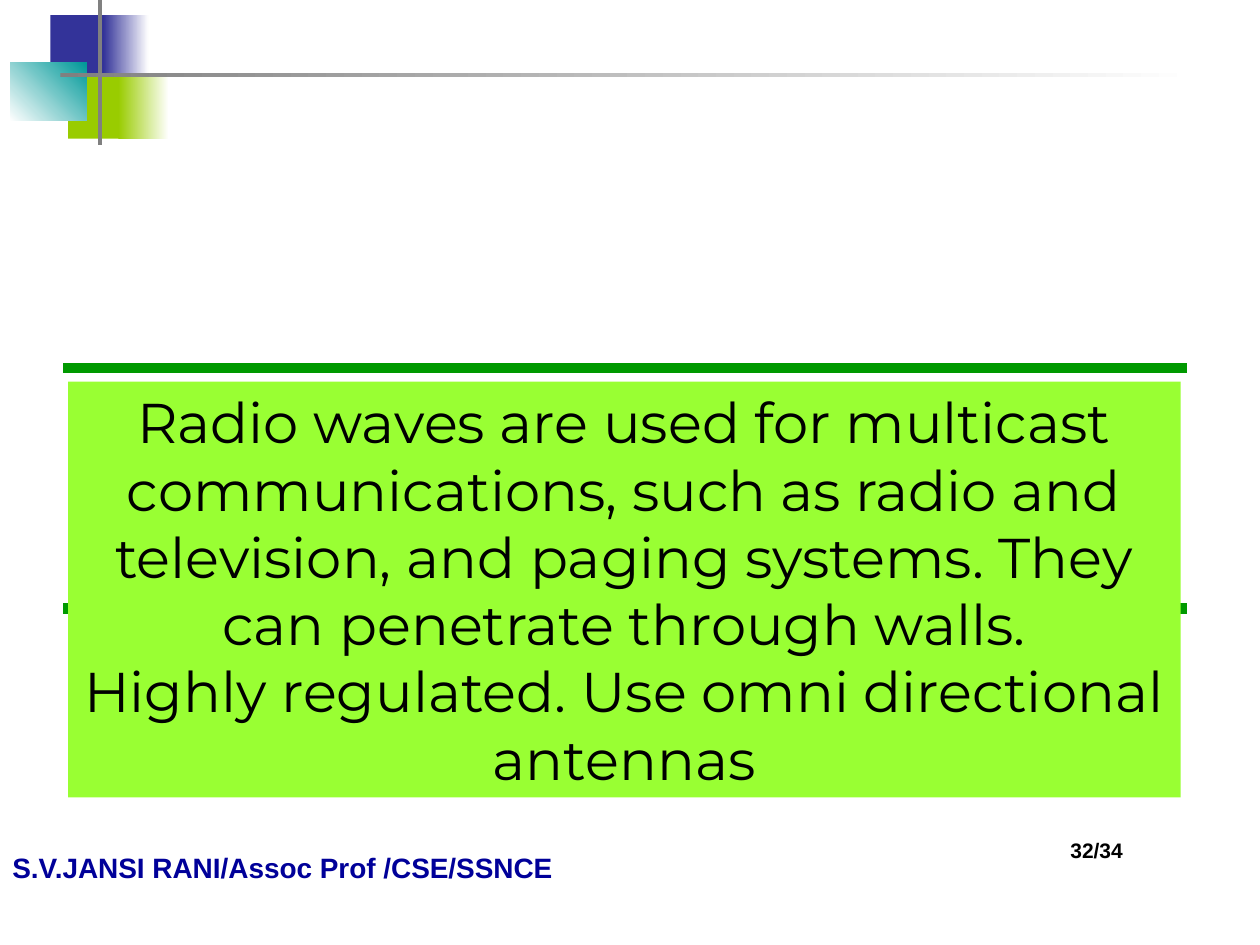
from dataclasses import dataclass

from pptx import Presentation
from pptx.dml.color import RGBColor
from pptx.enum import shapes, text
from pptx.oxml.ns import qn
from pptx.util import Inches, Pt


@dataclass(frozen=True)
class Theme:
    """Colours, fonts and type sizes."""
    white: str = "FFFFFF"
    black: str = "000000"
    navy: str = "000099"
    blue: str = "333399"
    olive: str = "99CC00"
    teal: str = "009999"
    gray: str = "808080"
    green: str = "009900"
    lime: str = "99FF33"
    sans: str = "Arial"
    body: str = "Montserrat"
    big: int = 32
    mid: int = 16
    small: int = 12


@dataclass(frozen=True)
class Block:
    """A filled rectangle, fading to a second colour if one is given."""
    left: float
    top: float
    width: float
    height: float
    fill: str
    fade: str = ""
    angle: int = 0


T = Theme()
BLOCKS = [
    Block(0.4, 0.12, 0.48, 0.52, T.blue),
    Block(0.82, 0.12, 0.36, 0.52, T.blue, T.white),
    Block(0.54, 0.58, 0.46, 0.52, T.olive),
    Block(0.94, 0.58, 0.4, 0.52, T.olive, T.white),
    Block(0.08, 0.5, 0.61, 0.46, T.white, T.teal, 45),
    Block(0.78, 0, 0.03, 1.15, T.gray),
    Block(0.48, 0.58, 9, 0.03, T.gray, T.white),
]
RULES = [2.92, 4.83]
FACTS = [
    "Radio waves are used for multicast communications, such as radio and "
    "television, and paging systems. They can penetrate through walls.",
    "Highly regulated. Use omni directional antennas",
]


def tint(code: str) -> RGBColor:
    """Turn a hex code into a colour."""
    return RGBColor.from_string(code)


def draw_block(slide, block: Block):
    """Draw one rectangle and return it."""
    box = slide.shapes.add_shape(
        shapes.MSO_SHAPE.RECTANGLE, Inches(block.left), Inches(block.top),
        Inches(block.width), Inches(block.height))
    box.shadow.inherit = False
    box.line.fill.background()
    if block.fade:
        box.fill.gradient()
        box.fill.gradient_angle = block.angle
        for stop, code in zip(box.fill.gradient_stops, (block.fill, block.fade)):
            stop.color.rgb = tint(code)
    else:
        box.fill.solid()
        box.fill.fore_color.rgb = tint(block.fill)
    return box


def draw_rule(slide, top: float) -> None:
    """Draw one thick green line across the slide."""
    rule = slide.shapes.add_connector(
        shapes.MSO_CONNECTOR.STRAIGHT, Inches(0.5), Inches(top),
        Inches(9.42), Inches(top))
    rule.line.color.rgb = tint(T.green)
    rule.line.width = Pt(6)
    props = rule._element.spPr
    props.append(props.makeelement(qn("a:effectLst"), {}))


def write(box, lines: list[str], *, size: int, color: str = T.black,
          font: str = T.sans, bold: bool = False,
          align=text.PP_ALIGN.LEFT, anchor=text.MSO_ANCHOR.TOP,
          fit=text.MSO_AUTO_SIZE.SHAPE_TO_FIT_TEXT) -> None:
    """Fill a shape with formatted paragraphs."""
    frame = box.text_frame
    frame.word_wrap = True
    frame.auto_size = fit
    frame.vertical_anchor = anchor
    frame.text = "\n".join(lines)
    for para in frame.paragraphs:
        para.alignment = align
        for run in para.runs:
            run.font.name = font
            run.font.size = Pt(size)
            run.font.bold = bold
            run.font.color.rgb = tint(color)


def main() -> None:
    """Build the slide and save it."""
    deck = Presentation()
    deck.slide_width, deck.slide_height = Inches(10), Inches(7.5)
    slide = deck.slides.add_slide(deck.slide_layouts[6])

    foot = draw_block(slide, Block(0, 6.63, 5.39, 0.51, T.white))
    foot.line.color.rgb = tint(T.white)
    foot.line.width = Pt(0.75)
    write(foot, ["S.V.JANSI RANI/Assoc Prof /CSE/SSNCE"], size=T.mid,
          color=T.navy, bold=True, anchor=text.MSO_ANCHOR.MIDDLE,
          fit=text.MSO_AUTO_SIZE.NONE)
    page = slide.shapes.add_textbox(
        Inches(7.44), Inches(6.6), Inches(1.57), Inches(0.5))
    write(page, ["32/34"], size=T.small, bold=True, align=text.PP_ALIGN.RIGHT)

    for block in BLOCKS:
        draw_block(slide, block)
    for top in RULES:
        draw_rule(slide, top)
    panel = draw_block(slide, Block(0.54, 3.03, 8.83, 3.3, T.lime))
    write(panel, FACTS, size=T.big, font=T.body, align=text.PP_ALIGN.CENTER)
    deck.save("out.pptx")


if __name__ == "__main__":
    main()
